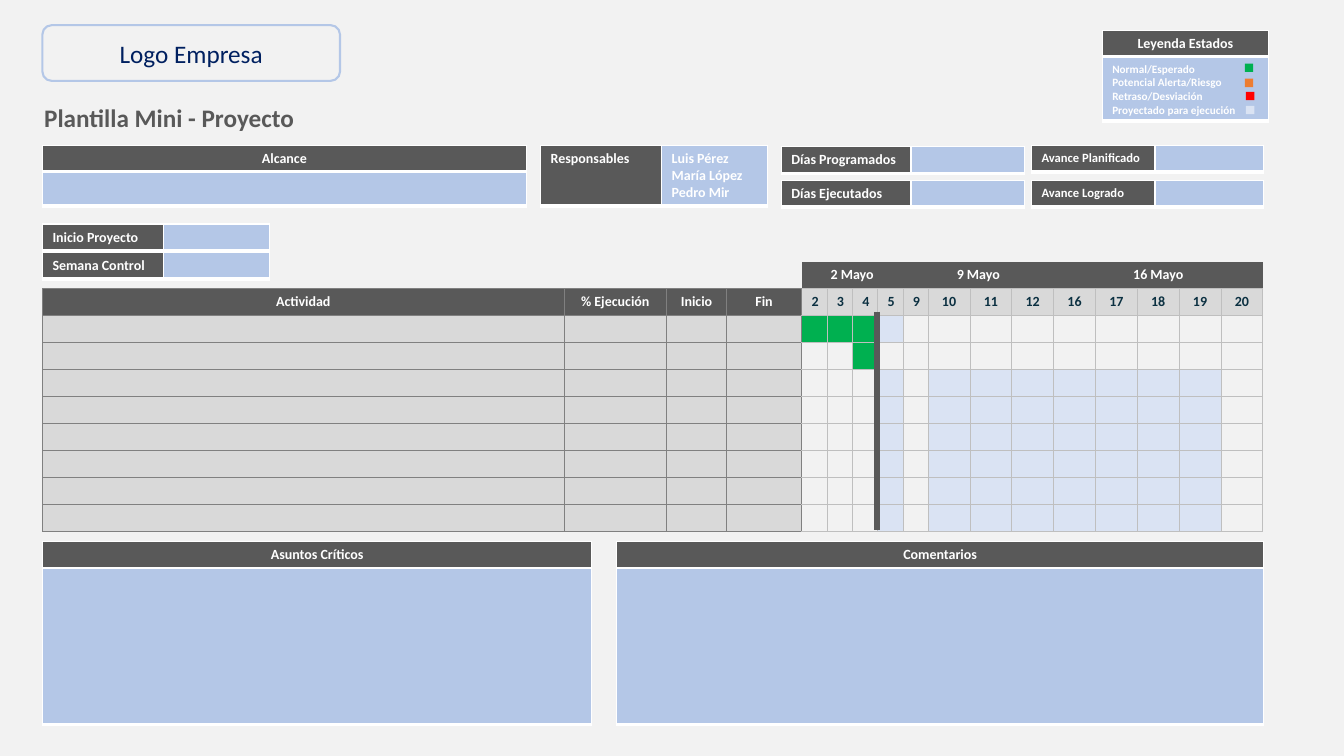
import pptx
import pptx.dml.color
import pptx.enum.shapes
import pptx.enum.text
import pptx.oxml.ns
import pptx.util
from dataclasses import dataclass
from lxml import etree

Pt = pptx.util.Pt
qn = pptx.oxml.ns.qn
SHAPE = pptx.enum.shapes.MSO_SHAPE
ALIGN = pptx.enum.text.PP_ALIGN


@dataclass(frozen=True)
class Theme:
    font: str = "Calibri"
    back: str = "F2F2F2"
    dark: str = "595959"
    field: str = "B4C7E7"
    grey: str = "D9D9D9"
    edge: str = "808080"
    grid: str = "BFBFBF"
    white: str = "FFFFFF"
    day: str = "0B3041"
    navy: str = "002060"
    done: str = "00B050"
    risk: str = "ED7D31"
    late: str = "FF0000"
    planned: str = "DAE3F3"
    title: int = 18
    label: int = 10
    small: int = 9
    legend: int = 8


T = Theme()
ROW = 19.3   # height of a one-line table row
LEFT = 30.3  # left margin of the page

DAYS = [2, 3, 4, 5, 9, 10, 11, 12, 16, 17, 18, 19, 20]
WEEKS = [("2 Mayo", 4), ("9 Mayo", 4), ("16 Mayo", 5)]
HEADS = ["Actividad", "% Ejecución", "Inicio", "Fin"]
COLUMNS = [372.6, 73.2, 42.9, 53.6] + [18.1] * 5 + [29.9] * 8
ACTIVITIES = 8
DONE = [{2, 3, 4}, {4}]
PLANNED = [{5}, set()] + [{5, 10, 11, 12, 16, 17, 18, 19}] * 6


def rgb(value):
    return pptx.dml.color.RGBColor.from_string(value)


def write(tf, text, size, color, bold=True, align=ALIGN.LEFT):
    tf.text = text
    for p in tf.paragraphs:
        p.alignment = align
        for r in p.runs:
            r.font.name, r.font.size, r.font.bold = T.font, Pt(size), bold
            r.font.color.rgb = rgb(color)
        if not p.runs:  # an empty cell keeps the row as low as its neighbours
            etree.SubElement(p._p, qn("a:endParaRPr"), sz=str(size * 100))


def borders(cell, sides):
    """sides maps L, R, T, B to (colour, width); a side left out has no line."""
    tc_pr = cell._tc.get_or_add_tcPr()
    for side in "LRTB":
        color, width = sides.get(side, (None, 0))
        ln = etree.SubElement(tc_pr, qn("a:ln" + side), w=str(int(Pt(width))))
        if color:
            solid = etree.SubElement(ln, qn("a:solidFill"))
            etree.SubElement(solid, qn("a:srgbClr"), val=color)
        else:
            etree.SubElement(ln, qn("a:noFill"))


def style_cell(cell, text, fill, sides, size=T.label, color=T.white, align=ALIGN.CENTER):
    borders(cell, sides)
    if fill:
        cell.fill.solid()
        cell.fill.fore_color.rgb = rgb(fill)
    else:
        cell.fill.background()
    write(cell.text_frame, text, size, color, align=align)


def add_grid(s, x, y, widths, heights):
    tbl = s.shapes.add_table(len(heights), len(widths), Pt(x), Pt(y),
                             Pt(sum(widths)), Pt(sum(heights))).table
    tbl.first_row = tbl.horz_banding = False
    for col, w in zip(tbl.columns, widths):
        col.width = Pt(w)
    for row, h in zip(tbl.rows, heights):
        row.height = Pt(h)
    return tbl


def panel(s, x, y, cells, h=ROW, size=T.label, align=ALIGN.LEFT):
    """One-row table; cells are (width, text, fill)."""
    tbl = add_grid(s, x, y, [w for w, _, _ in cells], [h])
    sides = {k: (T.white, 1) for k in "LRT"} | {"B": (T.white, 3)}
    for c, (_, text, fill) in enumerate(cells):
        style_cell(tbl.cell(0, c), text, fill, sides, size, align=align)


def label_field(s, x, y, label, w_label, w_field, value="", h=ROW, size=T.label):
    panel(s, x, y, [(w_label, label, T.dark), (w_field, value, T.field)], h, size)


def titled_box(s, x, y, w, title, body_h, body="", body_size=T.label):
    panel(s, x, y, [(w, title, T.dark)], align=ALIGN.CENTER)
    panel(s, x, y + 19.4, [(w, body, T.field)], body_h, body_size)


def box(s, kind, x, y, w, h, fill, line=None):
    sp = s.shapes.add_shape(kind, Pt(x), Pt(y), Pt(w), Pt(h))
    sp.shadow.inherit = False
    sp.fill.solid()
    sp.fill.fore_color.rgb = rgb(fill)
    if line:
        sp.line.color.rgb = rgb(line)
        sp.line.width = Pt(1.5)
    else:
        sp.line.fill.background()
    return sp


def schedule(s, x, y):
    tbl = add_grid(s, x, y, COLUMNS, [19.2] * (ACTIVITIES + 2))
    first = len(HEADS)
    edge = {k: (T.edge, 0.5) for k in "LRTB"}
    grid = {k: (T.grid, 0.5) for k in "LRTB"}

    # Week row
    start = 0
    for text, span in [("", first)] + WEEKS:
        line = T.grid if text else T.edge
        for c in range(start, start + span):
            style_cell(tbl.cell(0, c), text if c == start else "",
                       T.dark if text else None, {"B": (line, 0.5)})
        tbl.cell(0, start).merge(tbl.cell(0, start + span - 1))
        start += span

    # Heading row and activity rows
    for row in range(1, ACTIVITIES + 2):
        heading, activity = row == 1, row - 2
        for c, head in enumerate(HEADS):
            style_cell(tbl.cell(row, c), head if heading else "",
                       T.dark if heading else T.grey, edge)
        for c, day in enumerate(DAYS, first):
            if heading:
                fill = T.grey
            elif activity < len(DONE) and day in DONE[activity]:
                fill = T.done
            else:
                fill = T.planned if day in PLANNED[activity] else None
            sides = grid | {"L": edge["L"]} if c == first else grid
            style_cell(tbl.cell(row, c), str(day) if heading else "", fill, sides, color=T.day)


def control_line(s, x, top, bottom):
    ln = s.shapes.add_connector(pptx.enum.shapes.MSO_CONNECTOR.STRAIGHT,
                                Pt(x), Pt(top), Pt(x), Pt(bottom))
    ln.line.color.rgb = rgb(T.dark)
    ln.line.width = Pt(4.5)
    etree.SubElement(ln._element.spPr, qn("a:effectLst"))


def main():
    prs = pptx.Presentation()
    prs.slide_width, prs.slide_height = Pt(960), Pt(540)
    s = prs.slides.add_slide(prs.slide_layouts[6])
    s.background.fill.solid()
    s.background.fill.fore_color.rgb = rgb(T.back)

    # Title
    tb = s.shapes.add_textbox(Pt(24.5), Pt(69.8), Pt(324), Pt(29))
    tb.text_frame.word_wrap = True
    write(tb.text_frame, "Plantilla Mini - Proyecto", T.title, T.dark)

    # Schedule
    schedule(s, LEFT, 186.8)
    control_line(s, 626.4, 222.6, 378.8)

    # Project data
    for y, label in [(160, "Inicio Proyecto"), (180, "Semana Control")]:
        label_field(s, LEFT, y, label, 86.4, 75.6)
    label_field(s, 386.2, 103.8, "Responsables", 86.4, 75.6,
                "Luis Pérez\nMaría López\nPedro Mir", 43.2)
    for y, label in [(104.6, "Días Programados"), (128.8, "Días Ejecutados")]:
        label_field(s, 558.1, y, label, 92.6, 81.4)
    for y, label in [(103.8, "Avance Planificado"), (128.8, "Avance Logrado")]:
        label_field(s, 736.8, y, label, 88.2, 77.6, size=T.small)

    # Titled boxes
    titled_box(s, LEFT, 103.8, 345.6, "Alcance", 23.8)
    titled_box(s, LEFT, 386.8, 392.4, "Asuntos Críticos", 111.4)
    titled_box(s, 440.5, 386.8, 462.1, "Comentarios", 111.4)

    # Legend
    states = [("Normal/Esperado", T.done, 889.2, 45.4),
              ("Potencial Alerta/Riesgo", T.risk, 889.2, 56.2),
              ("Retraso/Desviación", T.late, 890, 65.6),
              ("Proyectado para ejecución", T.planned, 890, 75.6)]
    titled_box(s, 787.3, 21.6, 118.8, "Leyenda Estados", 45.4,
               "\n".join(state[0] for state in states), T.legend)
    for _, color, x, y in states:
        box(s, SHAPE.RECTANGLE, x, y, 6, 6, color)

    # Logo placeholder
    sp = box(s, SHAPE.ROUNDED_RECTANGLE, LEFT, 18, 212.6, 39.8, T.back, T.field)
    sp.text_frame.vertical_anchor = pptx.enum.text.MSO_ANCHOR.MIDDLE
    write(sp.text_frame, "Logo Empresa", T.title, T.navy, False, ALIGN.CENTER)

    prs.save("out.pptx")


if __name__ == "__main__":
    main()
